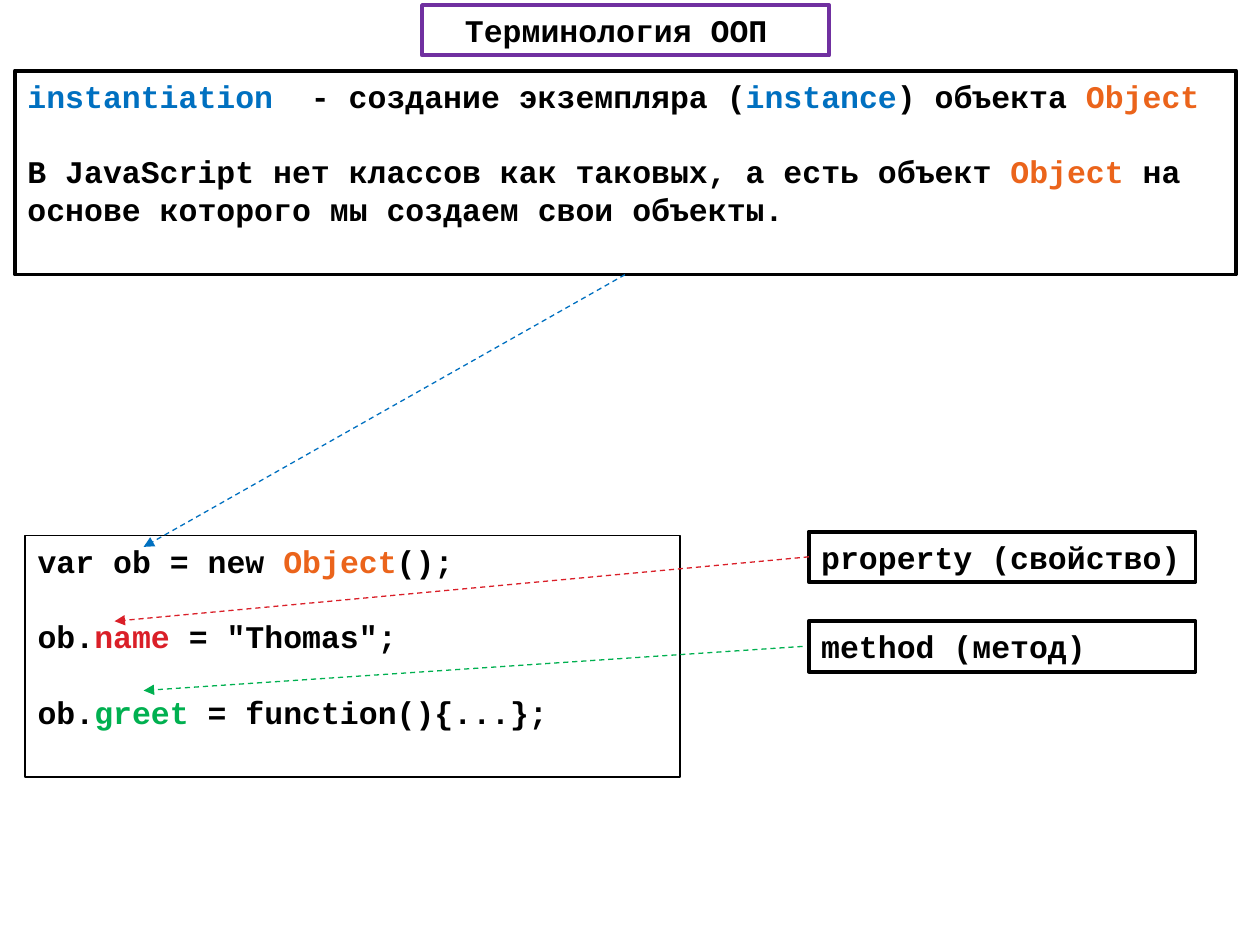
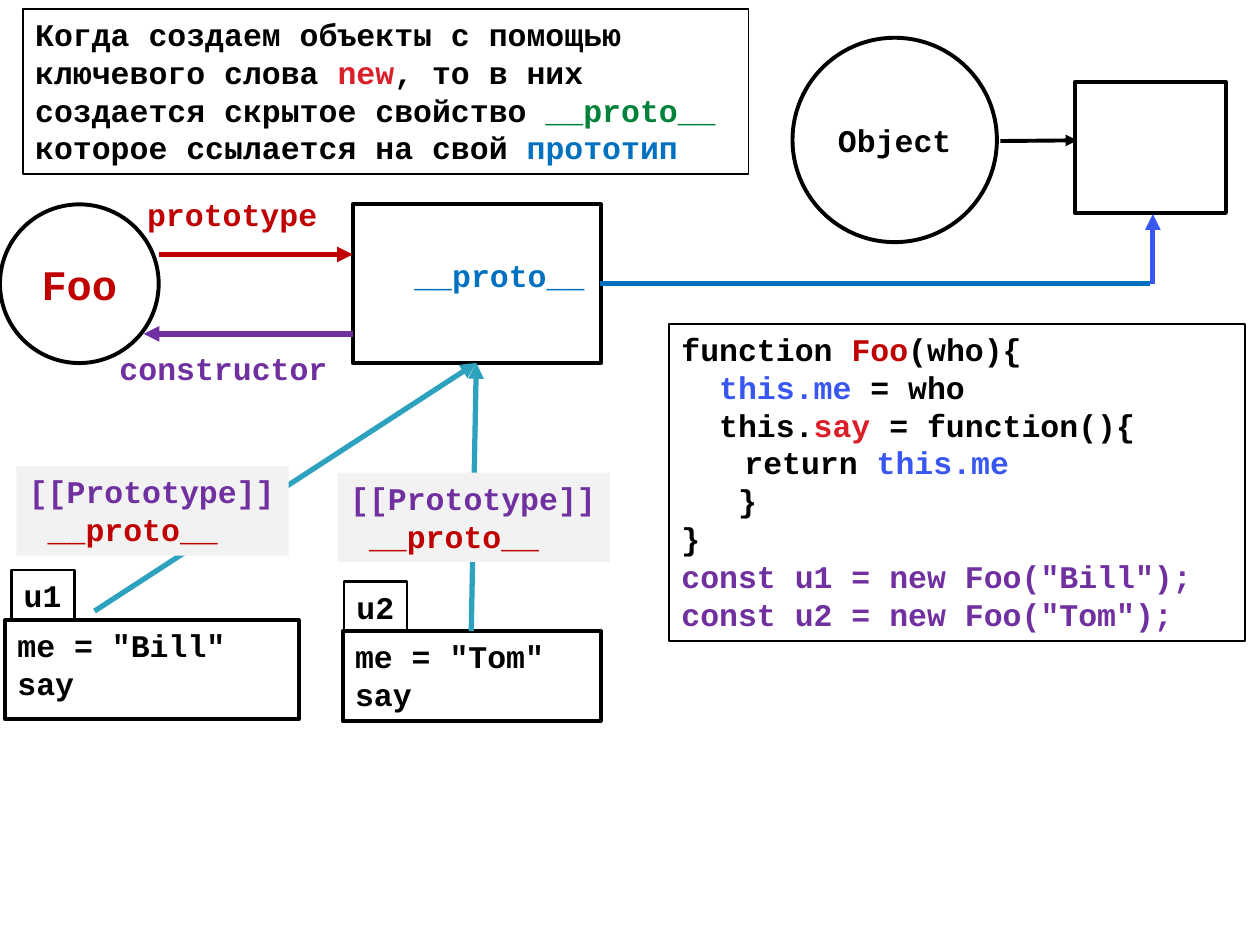
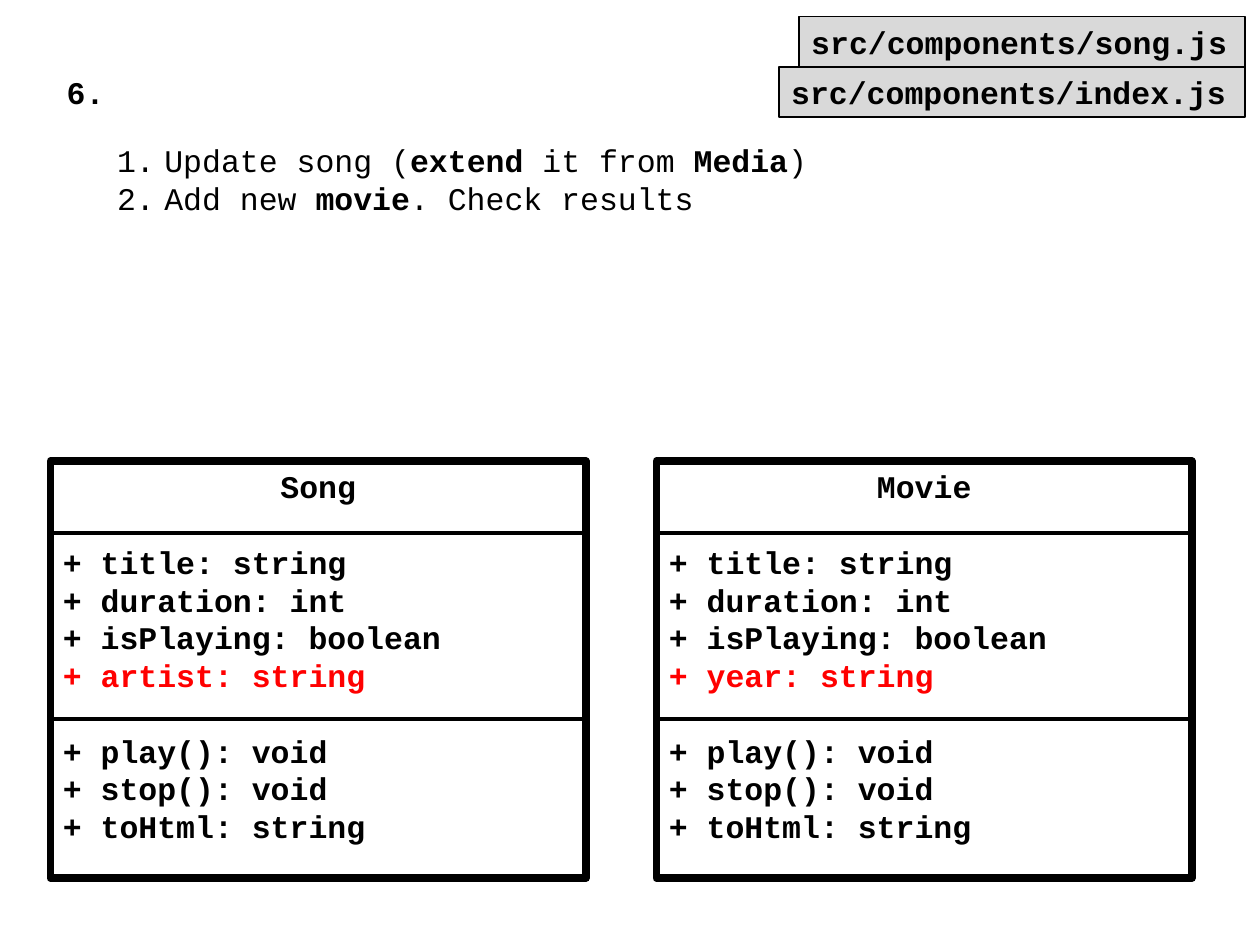
import pptx
import pptx.dml.color
import pptx.enum.dml
import pptx.enum.shapes
import pptx.enum.text
import pptx.oxml
import pptx.oxml.ns
import pptx.util

Pt = pptx.util.Pt
SHAPE = pptx.enum.shapes.MSO_SHAPE
CENTER = pptx.enum.text.PP_ALIGN.CENTER
LEFT = pptx.enum.text.PP_ALIGN.LEFT

# Shared look
FONT, TEXT_SIZE, LINE_HEIGHT = "Courier New", 18, 21.5
COLORS = {
    "black": "000000", "purple": "7030A0", "orange": "EB641B", "red": "DA1F28",
    "green": "00B050", "dark green": "00823B", "blue": "0070C0", "violet": "3756F2",
    "dark red": "C00000", "teal": "2DA2BF", "bright red": "FF0000",
    "gray": "D9D9D9", "light gray": "F2F2F2",
}

# Slide 1: terms. A paragraph is a list of (text, colour) spans.
TERM_TITLE = [[("Терминология ООП ", "black")]]
DEFINITION = [
    [("instantiation", "blue"), ("\t- создание экземпляра (", "black"), ("instance", "blue"),
     (") объекта ", "black"), ("Object", "orange")],
    [("В JavaScript нет классов как таковых, а есть объект ", "black"), ("Object ", "orange"),
     ("на основе которого мы создаем свои объекты.", "black")],
]
OBJECT_CODE = [
    [("var ob = new ", "black"), ("Object", "orange"), ("();", "black")],
    [("ob.", "black"), ("name", "red"), (' = "Thomas";', "black")],
    [("ob.", "black"), ("greet", "green"), (" = function(){...};", "black")],
]
MEMBERS = [("property (свойство)", 303.8), ("method (метод)", 355)]
TERM_ARROWS = [  # start, end, colour
    ((462.2, 318.2), (65.5, 355), "red"),
    ((458.6, 369.4), (82.1, 394.6), "green"),
    ((357.1, 157), (82.1, 312.5), "blue"),
]

# Slide 2: prototype chain
PROTO_NOTE = [[
    ("Когда создаем объекты с помощью ключевого слова ", "black"), ("new", "red"),
    (", то в них создается скрытое свойство ", "black"), ("__proto__ ", "dark green"),
    ("которое ссылается на свой ", "black"), ("прототип", "blue"),
]]
FOO_CODE = [
    [("function ", "black"), ("Foo", "dark red"), ("(who){", "black")],
    [("  ", "black"), ("this.me", "violet"), (" = who", "black")],
    [("  this.", "black"), ("say", "red"), (" = function(){", "black")],
    [(" \treturn ", "black"), ("this.me", "violet")],
    [("   }", "black")],
    [("}", "black")],
    [('const u1 = new Foo("Bill");', "purple")],
    [('const u2 = new Foo("Tom");', "purple")],
]
CIRCLES = [  # name, left, top, diameter, text size, colour
    ("Object", 452.9, 21.6, 116.8, 18, "black"),
    ("Foo", 0, 116.8, 90.7, 24, "dark red"),
]
PROTOTYPES = [(614.2, 46.8, 86.4, 74.9), (201.6, 116.8, 141.8, 90.7)]
CHAIN_LINES = [  # start, end, colour, width, arrowhead
    ((571.7, 80.6), (615.6, 80.2), "black", 2.25, True),
    ((342.7, 162), (657.4, 162), "blue", 3, False),
    ((658.8, 162), (658.8, 122.4), "violet", 3, True),
    ((90.7, 145.4), (201.6, 145.4), "dark red", 3, True),
    ((201.6, 190.8), (82.1, 190.8), "purple", 3, True),
]
LINK_NAMES = [  # text, left, top, width, colour
    ("prototype", 77, 108, 112.3, "dark red"),
    ("constructor", 61.2, 195.8, 133.9, "purple"),
    ("__proto__", 229.7, 142.6, 112.3, "blue"),
]
INSTANCES = [  # name, value, box, tag left, arrow start, label corner
    ("u1", "Bill", (2.9, 354.2, 167.8, 56.9), 6.5, (54, 349.2), (9.4, 266.4)),
    ("u2", "Tom", (195.8, 360.7, 147.6, 51.1), 196.6, (269.3, 360.7), (193, 270)),
]
FOO_PROTOTYPE = (272.2, 207.4)

# Slide 3: task with class diagrams
FILES = [("src/components/song.js", 456.5, 9.4), ("src/components/index.js", 445, 38.2)]
FILES_RIGHT = 711.4
STEPS = [
    [("Update song (", False), ("extend", True), (" it from ", False), ("Media", True),
     (")", False)],
    [("Add new ", False), ("movie", True), (". Check results", False)],
]
CLASSES = [("Song", "artist", 28.8), ("Movie", "year", 375.1)]  # name, own field, left
FIELDS = ["title: string", "duration: int", "isPlaying: boolean"]
METHODS = ["play(): void", "stop(): void", "toHtml: string"]


def rgb(name):
    return pptx.dml.color.RGBColor.from_string(COLORS[name])


def add_span(para, text, color, size=TEXT_SIZE, bold=True):
    span = para.add_run()
    span.text = text
    span.font.name, span.font.size, span.font.bold = FONT, Pt(size), bold
    span.font.color.rgb = rgb(color)


def add_paragraphs(frame, paragraphs, align=LEFT, gaps=(), size=TEXT_SIZE):
    """Write the paragraphs; those numbered in gaps get one line of space before."""
    for index, spans in enumerate(paragraphs):
        para = frame.paragraphs[0] if index == 0 else frame.add_paragraph()
        para.alignment = align
        if index in gaps:
            para.space_before = Pt(LINE_HEIGHT)
        for text, color in spans:
            add_span(para, text, color, size)


def add_box(page, place, paragraphs=(), line="black", width=2.25, fill=None, wrap=True,
            kind=SHAPE.RECTANGLE, middle=False, **text_style):
    box = page.shapes.add_shape(kind, *map(Pt, place))
    box.shadow.inherit = False
    if fill:
        box.fill.solid()
        box.fill.fore_color.rgb = rgb(fill)
    else:
        box.fill.background()
    if line:
        box.line.color.rgb = rgb(line)
        box.line.width = Pt(width)
    else:
        box.line.fill.background()
    anchors = pptx.enum.text.MSO_ANCHOR
    box.text_frame.vertical_anchor = anchors.MIDDLE if middle else anchors.TOP
    box.text_frame.word_wrap = wrap
    add_paragraphs(box.text_frame, paragraphs, **text_style)
    return box


def add_label(page, text, left, top, width, color):
    box = page.shapes.add_textbox(Pt(left), Pt(top), Pt(width), Pt(28.8))
    box.text_frame.word_wrap = False
    add_paragraphs(box.text_frame, [[(text, color)]])


def add_line(page, start, end, color, width, arrow=False, dashed=False):
    line = page.shapes.add_connector(
        pptx.enum.shapes.MSO_CONNECTOR.STRAIGHT, *map(Pt, start + end))
    line.line.color.rgb = rgb(color)
    line.line.width = Pt(width)
    if dashed:
        line.line.dash_style = pptx.enum.dml.MSO_LINE.DASH
    properties = line._element.spPr
    if arrow:
        head = pptx.oxml.parse_xml(
            f'<a:tailEnd {pptx.oxml.ns.nsdecls("a")} type="triangle"/>')
        properties.find(pptx.oxml.ns.qn("a:ln")).append(head)
    properties.append(pptx.oxml.parse_xml(f'<a:effectLst {pptx.oxml.ns.nsdecls("a")}/>'))


def add_tab_stop(para, position):
    para._p.get_or_add_pPr().append(pptx.oxml.parse_xml(
        f'<a:tabLst {pptx.oxml.ns.nsdecls("a")}>'
        f'<a:tab pos="{Pt(position)}" algn="l"/></a:tabLst>'))


def number_paragraph(para, indent):
    properties = para._p.get_or_add_pPr()
    properties.set("marL", str(Pt(indent)))
    properties.set("indent", str(-Pt(indent)))
    properties.append(pptx.oxml.parse_xml(
        f'<a:buAutoNum {pptx.oxml.ns.nsdecls("a")} type="arabicPeriod"/>'))


def build_terms(page):
    add_box(page, (241.2, 2.9, 232.6, 28.8), TERM_TITLE, line="purple", align=CENTER)
    add_box(page, (14.4, 306, 374.4, 138.2), OBJECT_CODE, width=1, gaps=(1, 2))
    for name, top in MEMBERS:
        add_box(page, (462.2, top, 221, 28.8), [[(name, "black")]])
    definition = add_box(page, (8.6, 40.3, 697.7, 116.6), DEFINITION, gaps=(1,))
    add_tab_stop(definition.text_frame.paragraphs[0], 162)
    for start, end, color in TERM_ARROWS:
        add_line(page, start, end, color, 0.75, arrow=True, dashed=True)


def build_prototypes(page):
    add_box(page, (382.3, 185, 329, 181.4), FOO_CODE, width=1)
    for name, left, top, diameter, size, color in CIRCLES:
        add_box(page, (left, top, diameter, diameter), [[(name, color)]], wrap=False,
                kind=SHAPE.OVAL, middle=True, align=CENTER, size=size)
    for place in PROTOTYPES:
        add_box(page, place)
    for chain_line in CHAIN_LINES:
        add_line(page, *chain_line)
    # Instances, with their tags standing on the boxes
    for name, value, place, tag_left, start, _ in INSTANCES:
        add_box(page, place, [[(f'me = "{value}"', "black")], [("say", "black")]])
        add_box(page, (tag_left, place[1] - 28.4, 36, 28.8), [[(name, "black")]],
                width=1.5, wrap=False)
        add_line(page, start, FOO_PROTOTYPE, "teal", 3, arrow=True)
    for *_, corner in INSTANCES:
        add_box(page, (*corner, 155.5, 51.1),
                [[("[[Prototype]]", "purple")], [(" __proto__", "dark red")]],
                line=None, fill="light gray", wrap=False)
    add_box(page, (13, 5, 414.7, 94.3), PROTO_NOTE, width=1)
    for link_name in LINK_NAMES:
        add_label(page, *link_name)


def build_task(page):
    for name, left, top in FILES:
        add_box(page, (left, top, FILES_RIGHT - left, 28.8), [[(name, "black")]],
                width=1, fill="gray")
    add_label(page, "6.", 31, 38.2, 36, "black")
    steps = page.shapes.add_textbox(Pt(59.8), Pt(77), Pt(411.1), Pt(51.1)).text_frame
    steps.word_wrap = True
    for index, spans in enumerate(STEPS):
        para = steps.paragraphs[0] if index == 0 else steps.add_paragraph()
        number_paragraph(para, 27)
        for text, bold in spans:
            add_span(para, text, "black", bold=bold)
    # Class diagrams
    for name, own_field, left in CLASSES:
        members = ([(f"+ {field}", "black") for field in FIELDS]
                   + [(f"+ {own_field}: string", "bright red")]
                   + [(f"+ {method}", "black") for method in METHODS])
        diagram = add_box(page, (left, 263.5, 306, 238.3),
                          [[(name, "black")]] + [[member] for member in members],
                          width=4.33, gaps=(1, len(FIELDS) + 2))
        diagram.text_frame.paragraphs[0].alignment = CENTER
        for y in (304.6, 411.1):
            add_line(page, (left, y), (left + 306, y), "black", 2.25)


def main():
    deck = pptx.Presentation()
    deck.slide_width, deck.slide_height = Pt(720), Pt(540)
    for build in (build_terms, build_prototypes, build_task):
        build(deck.slides.add_slide(deck.slide_layouts[6]))
    deck.save("out.pptx")


if __name__ == "__main__":
    main()
